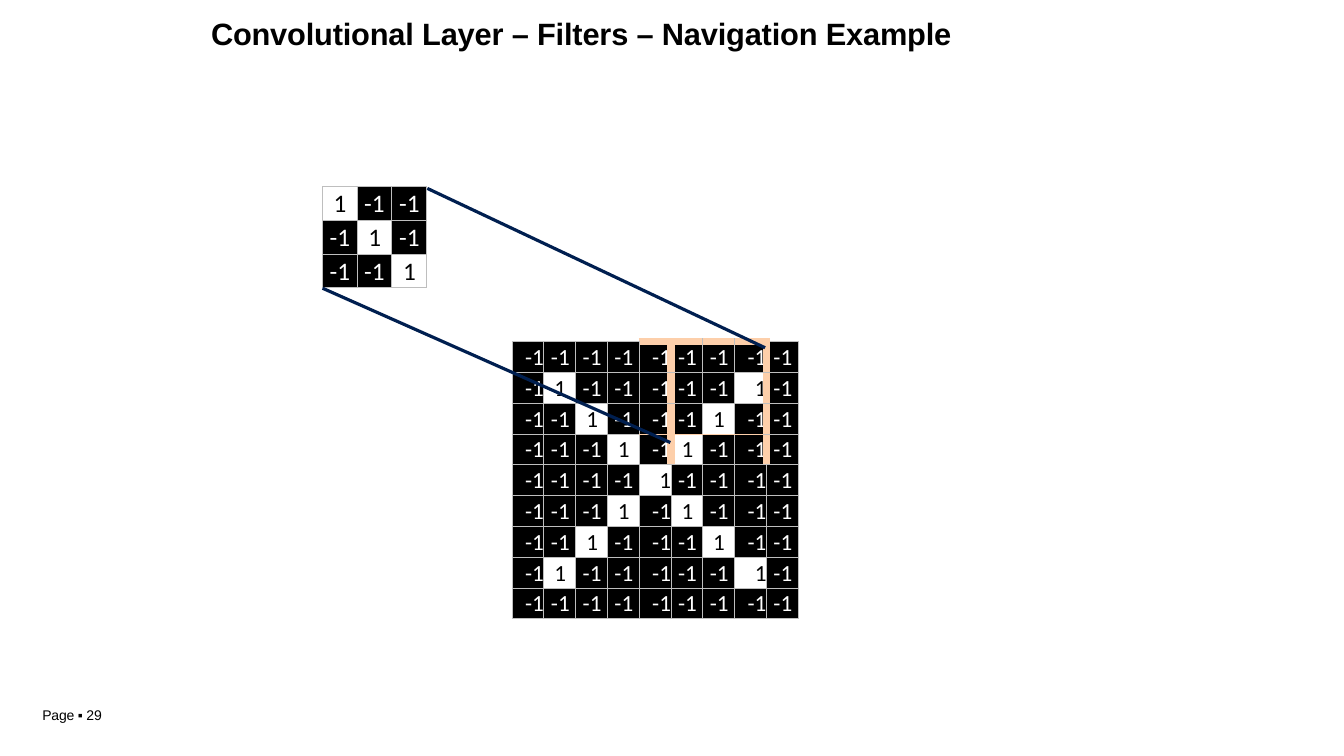
from lxml import etree
from pptx import Presentation
from pptx.dml.color import RGBColor
from pptx.enum.shapes import MSO_CONNECTOR
from pptx.enum.text import MSO_ANCHOR, PP_ALIGN
from pptx.oxml.ns import qn
from pptx.util import Pt

STRAIGHT = MSO_CONNECTOR.STRAIGHT
TOP = MSO_ANCHOR.TOP
ALIGN = {"L": PP_ALIGN.LEFT, "C": PP_ALIGN.CENTER, "R": PP_ALIGN.RIGHT}
COLORS = {"black": "000000", "white": "FFFFFF", "grid": "BEBEBE",
          "window": "FDCFAA", "ray": "001F50"}

TITLE_ONLY = 5
THIN, THICK = 0.75, 6
CELL_W, CELL_H = 22.72, 22
IMAGE_LEFT, IMAGE_TOP = 365.8, 244.1
FILTER = {(i, i) for i in range(3)}
IMAGE = {(i, j) for i in range(1, 8) for j in (i, 8 - i)}
BACKING = [[(2, 2), (3, 3)], [(6, 2), (5, 3)], [(6, 6), (7, 7)]]


def plain_border(row, col):
    return dict.fromkeys("LRTB", ("grid", THIN))


def window_border(row, col):
    """Borders of an image cell, with the filter's window over columns 5 to 7."""
    sides = plain_border(row, col)
    if row <= 3:
        if col in (4, 7):
            sides["R"] = ("window", THICK)
        if col in (5, 8):
            sides["L"] = ("window", THICK)
        if 4 <= col <= 7:
            if row == 0:
                sides["T"] = ("window", THICK)
            elif row == 2:
                sides["B"] = ("window", THIN)
            elif row == 3:
                sides["T"] = ("window", THIN)
    return sides


class SlideBuilder:
    def __init__(self, page):
        self.page = page

    def color(self, name):
        return RGBColor.from_string(COLORS[name])

    def add_span(self, para, text, size, font, color="black", bold=False, spacing=0):
        span = para.add_run()
        span.text = text
        span.font.size = Pt(size)
        span.font.name = font
        span.font.bold = bold
        span.font.color.rgb = self.color(color)
        span._r.get_or_add_rPr().set("spc", str(spacing))

    def fill_text(self, box, text, size, top_margin, bold=False):
        frame = box.text_frame
        frame.word_wrap = True
        frame.vertical_anchor = TOP
        frame.margin_left = Pt(0.7)
        frame.margin_right = frame.margin_bottom = 0
        frame.margin_top = Pt(top_margin)
        para = frame.paragraphs[0]
        para.alignment = ALIGN["L"]
        self.add_span(para, text, size, "Arial", bold=bold, spacing=-10)

    def title(self, text, left, top, width, height):
        box = self.page.shapes.title
        box.left, box.top, box.width, box.height = map(Pt, (left, top, width, height))
        self.fill_text(box, text, 22, 1.6, bold=True)

    def label(self, text, left, top, width, height):
        box = self.page.shapes.add_textbox(*map(Pt, (left, top, width, height)))
        self.fill_text(box, text, 10, 0)

    def squares(self, cells):
        """One white shape made of the given (row, column) squares of the image."""
        builder = None
        for row, col in cells:
            x, y = IMAGE_LEFT + col * CELL_W, IMAGE_TOP + row * CELL_H
            if builder is None:
                builder = self.page.shapes.build_freeform(Pt(x), Pt(y))
            else:
                builder.move_to(Pt(x), Pt(y))
            corners = [(x + CELL_W, y), (x + CELL_W, y + CELL_H), (x, y + CELL_H)]
            builder.add_line_segments([(Pt(a), Pt(b)) for a, b in corners])
        shape = builder.convert_to_shape()
        shape.shadow.inherit = False
        shape.fill.solid()
        shape.fill.fore_color.rgb = self.color("white")
        shape.line.fill.background()

    def borders(self, cell, sides):
        props = cell._tc.get_or_add_tcPr()
        for side, (color, width) in sides.items():
            line = etree.SubElement(props, qn(f"a:ln{side}"), w=str(Pt(width)))
            solid = etree.SubElement(line, qn("a:solidFill"))
            etree.SubElement(solid, qn("a:srgbClr"), val=COLORS[color])

    def matrix(self, left, top, cell_w, cell_h, aligns, ones, size, one_indent, border):
        """Square table of 1 (clear) and -1 (black); aligns has a letter per column."""
        count = len(aligns)
        frame = self.page.shapes.add_table(count, count, Pt(left), Pt(top),
                                           Pt(cell_w * count), Pt(cell_h * count))
        table = frame.table
        table.first_row = table.horz_banding = False
        for k in range(count):
            table.columns[k].width = Pt(cell_w)
            table.rows[k].height = Pt(cell_h)
        for row in range(count):
            for col, align in enumerate(aligns):
                cell = table.cell(row, col)
                is_one = (row, col) in ones
                cell.margin_left = cell.margin_right = cell.margin_bottom = 0
                cell.margin_top = Pt(1.4)
                cell.vertical_anchor = TOP
                self.borders(cell, border(row, col))
                if is_one:
                    cell.fill.background()
                else:
                    cell.fill.solid()
                    cell.fill.fore_color.rgb = self.color("black")
                para = cell.text_frame.paragraphs[0]
                para.alignment = ALIGN[align]
                indent = {"L": one_indent if is_one else 5, "C": 0.7, "R": 0}[align]
                para._p.get_or_add_pPr().set("marL", str(Pt(indent)))
                if is_one:
                    self.add_span(para, "1", size, "Calibri")
                else:
                    self.add_span(para, "-1", size, "Calibri", "white", spacing=10)

    def ray(self, x1, y1, x2, y2):
        line = self.page.shapes.add_connector(STRAIGHT, *map(Pt, (x1, y1, x2, y2)))
        line.line.color.rgb = self.color("ray")
        line.line.width = Pt(2.28)
        etree.SubElement(line._element.spPr, qn("a:effectLst"))


def main():
    deck = Presentation()
    deck.slide_width, deck.slide_height = Pt(960), Pt(540)
    slide = SlideBuilder(deck.slides.add_slide(deck.slide_layouts[TITLE_ONLY]))

    slide.title("Convolutional Layer – Filters – Navigation Example", 150, 8.6, 538.6, 27.4)
    slide.matrix(230.4, 133.5, 24.7, 24, "LLC", FILTER, 18, 8, plain_border)
    for cells in BACKING:
        slide.squares(cells)
    slide.matrix(IMAGE_LEFT, IMAGE_TOP, CELL_W, CELL_H, "RLCLRCLRC", IMAGE, 16.5, 7.4,
                 window_border)
    slide.ray(546.5, 248.4, 305.3, 134.6)
    slide.ray(478.8, 316.1, 230.4, 205.9)
    slide.label("Page ▪ 29", 29.5, 504.7, 48.5, 12.2)
    deck.save("out.pptx")


if __name__ == "__main__":
    main()
